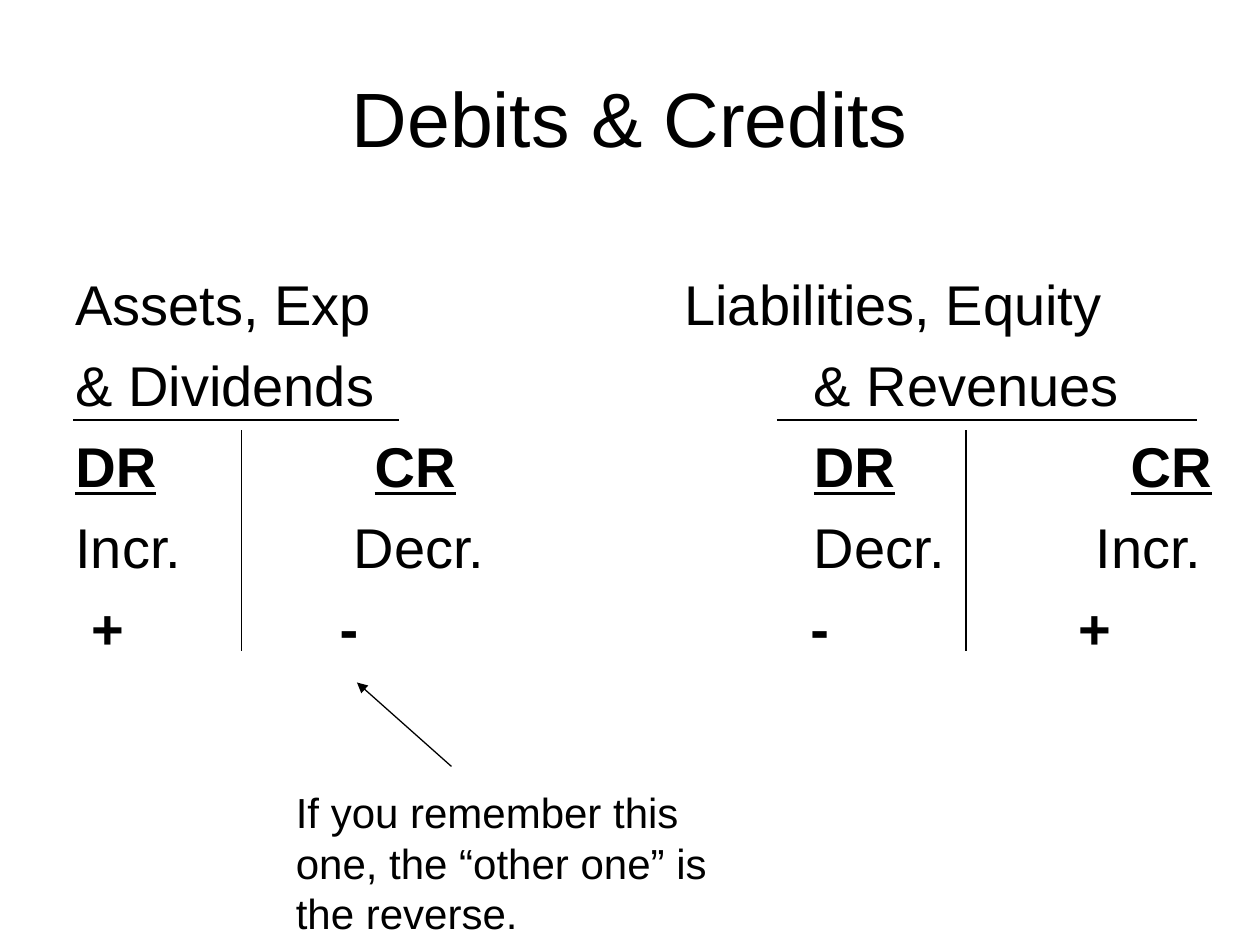
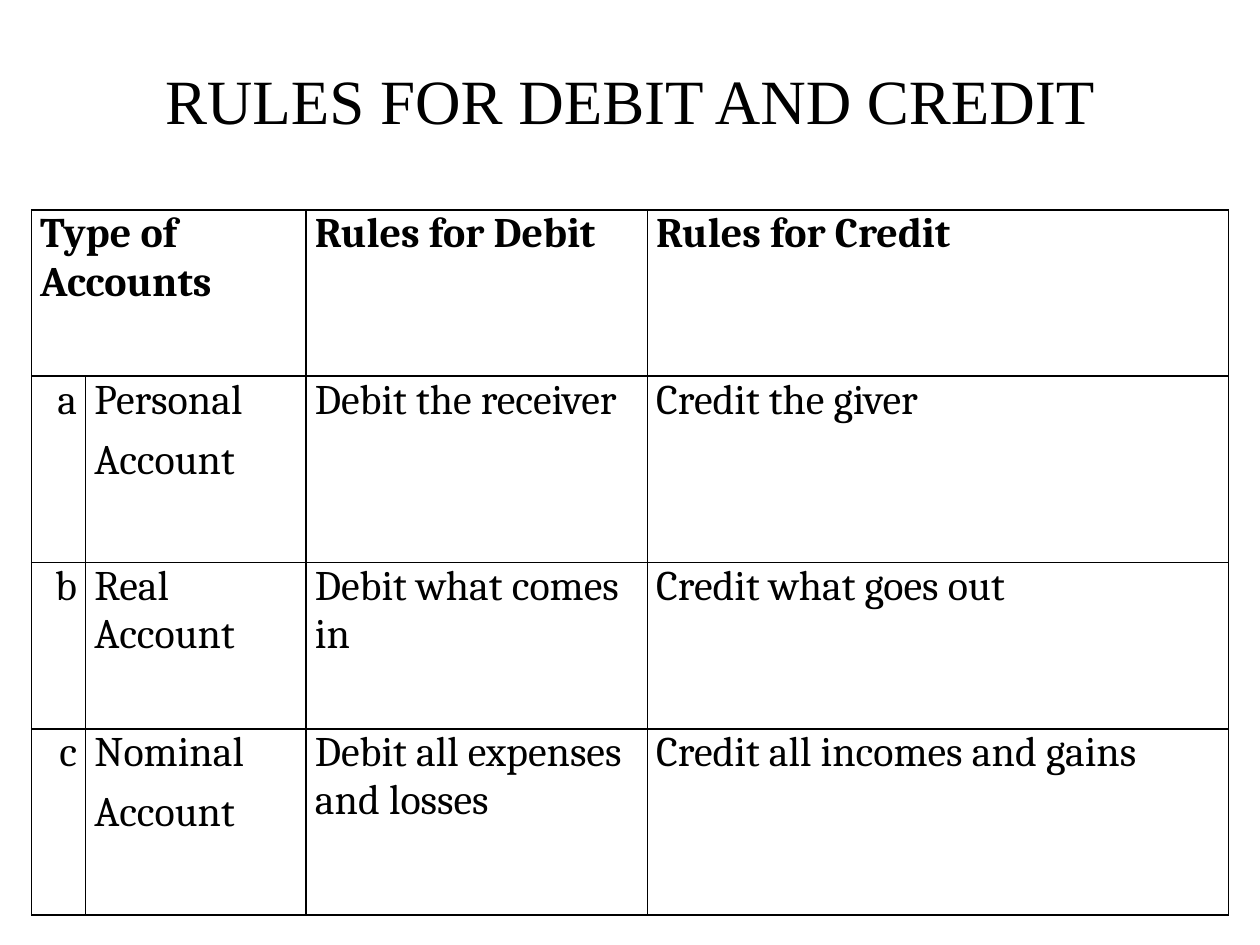
from dataclasses import dataclass

from lxml.etree import SubElement
from pptx import Presentation
from pptx.dml.color import RGBColor
from pptx.enum.shapes import MSO_CONNECTOR
from pptx.enum.text import MSO_ANCHOR, PP_ALIGN
from pptx.oxml import parse_xml
from pptx.oxml.ns import nsdecls, qn
from pptx.slide import Slide
from pptx.util import Pt

BLACK = RGBColor(0x00, 0x00, 0x00)
SANS = "Arial"
TITLE_SERIF = "Times New Roman"
TABLE_SERIF = "Cambria"
TITLE_ONLY = 5


@dataclass
class Line:
    start: tuple[float, float]
    end: tuple[float, float]
    arrow: bool = False


@dataclass
class AccountRow:
    entries: list[str]
    tab_stops: list[float]
    bold: bool = False
    underline: bool = False


ACCOUNT_ROWS = [
    AccountRow(["Assets, Exp", "Liabilities, Equity"], [348]),
    AccountRow(["& Dividends", "& Revenues"], [422]),
    AccountRow(["DR", "CR", "DR", "CR"], [171, 422, 603], bold=True, underline=True),
    AccountRow(["Incr.", "Decr.", "Decr.", "Incr."], [159, 422, 583]),
    AccountRow(["", "+", "-", "-", "+"], [9, 151, 420, 573], bold=True),
]

ACCOUNT_LINES = [
    Line((138, 246), (138, 372)),
    Line((552, 246), (552, 372)),
    Line((42, 240), (228, 240)),
    Line((444, 240), (684, 240)),
    Line((258, 438), (204, 390), arrow=True),
]

COLUMN_WIDTHS = [31, 126, 195, 332]
ROW_HEIGHTS = [95, 106.5, 95, 106.5]
RULES = [
    ["Type of Accounts", "", "Rules for Debit", "Rules for Credit"],
    ["a", "Personal\nAccount", "Debit the receiver", "Credit the giver"],
    ["b", "Real Account", "Debit what comes in", "Credit what goes out"],
    ["c", "Nominal\nAccount", "Debit all expenses and losses",
     "Credit all incomes and gains"],
]


def format_font(font, name: str, size: float, bold: bool = False) -> None:
    font.name, font.size, font.bold = name, Pt(size), bold
    font.color.rgb = BLACK


def add_titled_slide(presentation, text: str, top: float, font: str, size: float) -> Slide:
    slide = presentation.slides.add_slide(presentation.slide_layouts[TITLE_ONLY])
    title = slide.shapes.title
    title.left, title.top, title.width, title.height = Pt(36), Pt(top), Pt(648), Pt(90)
    title.text_frame.text = text
    title.text_frame.vertical_anchor = MSO_ANCHOR.MIDDLE
    paragraph = title.text_frame.paragraphs[0]
    paragraph.alignment = PP_ALIGN.CENTER
    format_font(paragraph.runs[0].font, font, size)
    return slide


def add_text_frame(slide: Slide, left: float, top: float, width: float, height: float):
    box = slide.shapes.add_textbox(Pt(left), Pt(top), Pt(width), Pt(height))
    box.text_frame.word_wrap = True
    return box.text_frame


def add_line(slide: Slide, line: Line) -> None:
    connector = slide.shapes.add_connector(
        MSO_CONNECTOR.STRAIGHT, *(Pt(value) for value in line.start + line.end))
    connector.line.color.rgb = BLACK
    connector.line.width = Pt(0.75)
    if line.arrow:
        SubElement(connector.line._get_or_add_ln(), qn("a:tailEnd"), type="triangle")
    SubElement(connector._element.spPr, qn("a:effectLst"))


def fill_account_row(paragraph, row: AccountRow) -> None:
    paragraph.space_before = Pt(0)
    paragraph.space_after = Pt(7.95)
    for index, entry in enumerate(row.entries):
        # Tabs get their own runs so that they are never underlined
        for text in (["\t"] if index else []) + ([entry] if entry else []):
            run = paragraph.add_run()
            run.text = text
            format_font(run.font, SANS, 32, row.bold)
            run.font.underline = row.underline and text != "\t"
    tab_list = SubElement(paragraph._p.get_or_add_pPr(), qn("a:tabLst"))
    for stop in row.tab_stops:
        SubElement(tab_list, qn("a:tab"), pos=str(Pt(stop)), algn="l")


def add_borders(cell) -> None:
    properties = cell._tc.get_or_add_tcPr()
    for index, side in enumerate(("lnL", "lnR", "lnT", "lnB")):
        properties.insert(index, parse_xml(
            f'<a:{side} {nsdecls("a")} w="{Pt(1)}"><a:solidFill>'
            f'<a:srgbClr val="{BLACK}"/></a:solidFill></a:{side}>'))


def format_cell(cell, text: str, header: bool, align_right: bool) -> None:
    cell.margin_left = cell.margin_right = Pt(5)
    cell.margin_top = cell.margin_bottom = Pt(0)
    cell.fill.background()
    add_borders(cell)
    cell.text_frame.text = text
    for index, paragraph in enumerate(cell.text_frame.paragraphs):
        paragraph.space_before = Pt(6.8 if index else 0.1)
        paragraph.alignment = PP_ALIGN.RIGHT if align_right else PP_ALIGN.LEFT
        for run in paragraph.runs:
            format_font(run.font, TABLE_SERIF, 24, header)


def add_rules_table(slide: Slide) -> None:
    table = slide.shapes.add_table(
        len(ROW_HEIGHTS), len(COLUMN_WIDTHS), Pt(18), Pt(120),
        Pt(sum(COLUMN_WIDTHS)), Pt(sum(ROW_HEIGHTS))).table
    table.first_row = table.horz_banding = False
    for column, width in zip(table.columns, COLUMN_WIDTHS):
        column.width = Pt(width)
    for row, height in zip(table.rows, ROW_HEIGHTS):
        row.height = Pt(height)
    table.cell(0, 0).merge(table.cell(0, 1))
    for row_index, texts in enumerate(RULES):
        for column_index, text in enumerate(texts):
            header = row_index == 0
            format_cell(table.cell(row_index, column_index), text, header,
                        align_right=column_index == 0 and not header)


def build_accounts_slide(presentation) -> None:
    slide = add_titled_slide(presentation, "Debits & Credits", 21.6, SANS, 44)
    # Both T-accounts, aligned by tab stops
    text_frame = add_text_frame(slide, 36, 150.3, 666, 332)
    for index, row in enumerate(ACCOUNT_ROWS):
        paragraph = text_frame.add_paragraph() if index else text_frame.paragraphs[0]
        fill_account_row(paragraph, row)
    for line in ACCOUNT_LINES:
        add_line(slide, line)
    # Note below the arrow
    note = add_text_frame(slide, 162, 446, 258, 92)
    note.text = "If you remember this one, the “other one” is the reverse."
    format_font(note.paragraphs[0].runs[0].font, SANS, 24)


def build_rules_slide(presentation) -> None:
    slide = add_titled_slide(presentation, "RULES FOR DEBIT AND CREDIT", 12, TITLE_SERIF, 36)
    add_rules_table(slide)


def main() -> None:
    presentation = Presentation()
    presentation.slide_width, presentation.slide_height = Pt(720), Pt(540)
    build_accounts_slide(presentation)
    build_rules_slide(presentation)
    presentation.save("out.pptx")


main()
